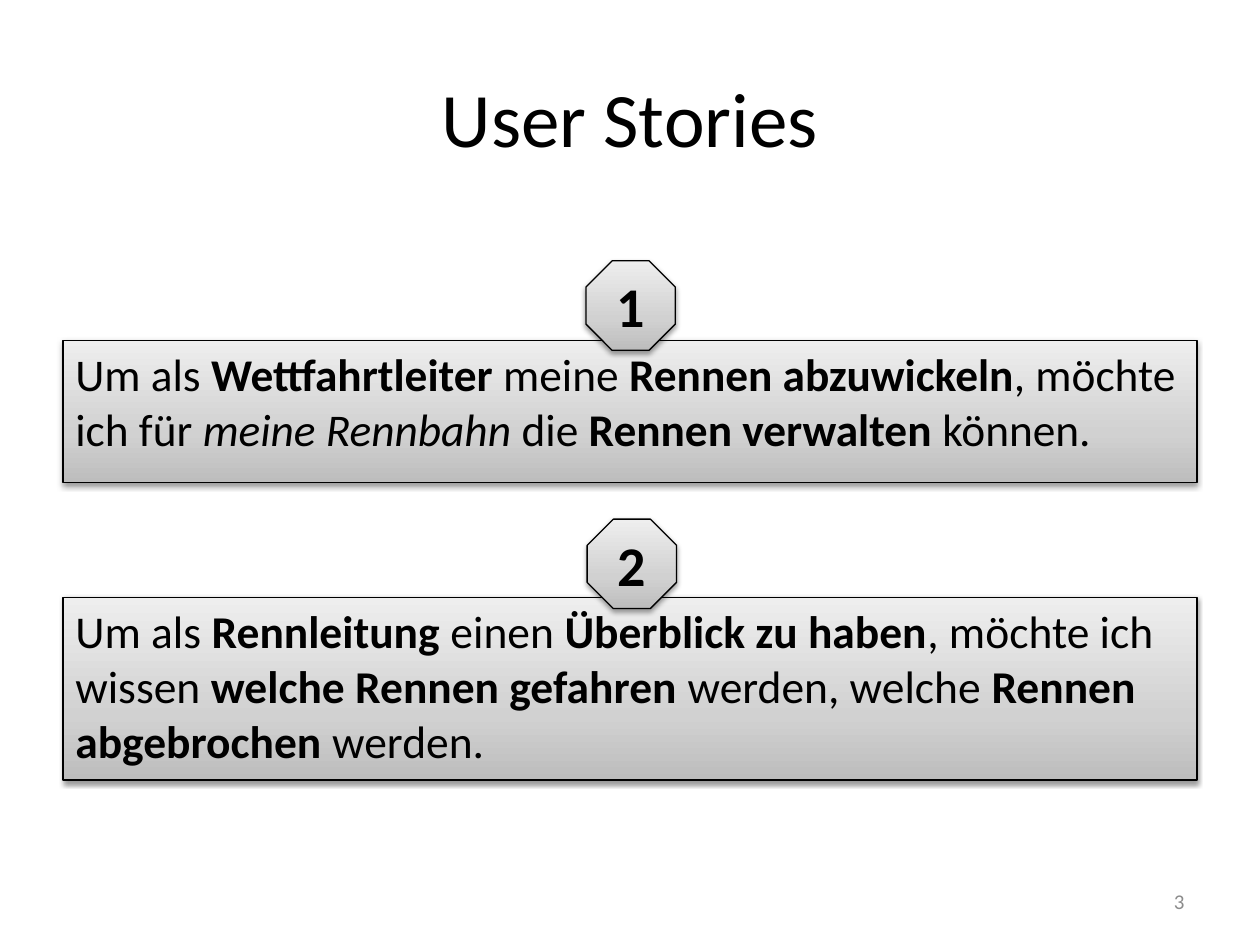
from lxml import etree
from pptx import Presentation
from pptx.dml.color import RGBColor
from pptx.enum import shapes, text
from pptx.oxml.ns import qn
from pptx.util import Inches, Pt

prs = Presentation()
prs.slide_width, prs.slide_height = Inches(10), Inches(7.5)
slide = prs.slides.add_slide(prs.slide_layouts[6])


def write(s, runs, size, align, anchor, color="000000"):
    """Fill a shape with (text, style) runs; style is "", "b" or "i"."""
    tf = s.text_frame
    tf.word_wrap = True
    tf.vertical_anchor = anchor
    p = tf.paragraphs[0]
    p.alignment = align
    for words, style in runs:
        r = p.add_run()
        r.text = words
        r.font.name, r.font.size = "Calibri", Pt(size)
        r.font.color.rgb = RGBColor.from_string(color)
        r.font.bold, r.font.italic = style == "b", style == "i"
    return p


def add_panel(kind, left, top, width, height):
    """Add a grey gradient shape with a thin outline and a soft shadow."""
    s = slide.shapes.add_shape(kind, Inches(left), Inches(top), Inches(width), Inches(height))
    s.fill.gradient()
    s.fill.gradient_angle = 90
    stops = s._element.spPr.find(".//" + qn("a:gsLst"))
    for old in list(stops):
        stops.remove(old)
    for pos, color in ((0, "BDBDBD"), (35, "D1D1D1"), (100, "EEEEEE")):
        gs = etree.SubElement(stops, qn("a:gs"), pos=str(pos * 1000))
        etree.SubElement(gs, qn("a:srgbClr"), val=color)
    s.line.color.rgb = RGBColor.from_string("000000")
    s.line.width = Pt(0.75)
    s.shadow.inherit = False
    effects = s._element.spPr.find(qn("a:effectLst"))
    shadow = etree.SubElement(effects, qn("a:outerShdw"), blurRad=str(Pt(3.1)),
                              dist=str(Pt(1.6)), dir="5400000", rotWithShape="0")
    black = etree.SubElement(shadow, qn("a:srgbClr"), val="000000")
    etree.SubElement(black, qn("a:alpha"), val="38000")
    return s


# Title and slide number
title = slide.shapes.add_textbox(Inches(0.5), Inches(0.3), Inches(9), Inches(1.25))
write(title, [("User Stories", "")], 44, text.PP_ALIGN.CENTER, text.MSO_ANCHOR.MIDDLE)
number = slide.shapes.add_textbox(Inches(7.17), Inches(6.95), Inches(2.33), Inches(0.4))
write(number, [("3", "")], 12, text.PP_ALIGN.RIGHT, text.MSO_ANCHOR.MIDDLE, "8C8C8C")

# User stories: box top, box height, badge left, badge top, text size, runs
stories = [
    (2.7, 1.13, 4.65, 2.07, 25.9, [
        ("Um als ", ""), ("Wettfahrtleiter", "b"), (" meine ", ""),
        ("Rennen abzuwickeln", "b"), (", möchte ich für ", ""),
        ("meine Rennbahn ", "i"), ("die ", ""), ("Rennen verwalten ", "b"),
        ("können.", "")]),
    (4.74, 1.45, 4.66, 4.12, 26, [
        ("Um als ", ""), ("Rennleitung", "b"), (" einen ", ""),
        ("Überblick zu haben", "b"), (", möchte ich wissen ", ""),
        ("welche Rennen gefahren ", "b"), ("werden, welche ", ""),
        ("Rennen abgebrochen", "b"), (" werden.", "")]),
]
for n, (top, height, badge_left, badge_top, size, runs) in enumerate(stories, 1):
    box = add_panel(shapes.MSO_SHAPE.RECTANGLE, 0.5, top, 9, height)
    p = write(box, runs, size, text.PP_ALIGN.LEFT, text.MSO_ANCHOR.TOP)
    p.space_before = Pt(5.2)
    badge = add_panel(shapes.MSO_SHAPE.OCTAGON, badge_left, badge_top, 0.71, 0.71)
    write(badge, [(str(n), "b")], 32, text.PP_ALIGN.CENTER, text.MSO_ANCHOR.MIDDLE)

prs.save("out.pptx")
